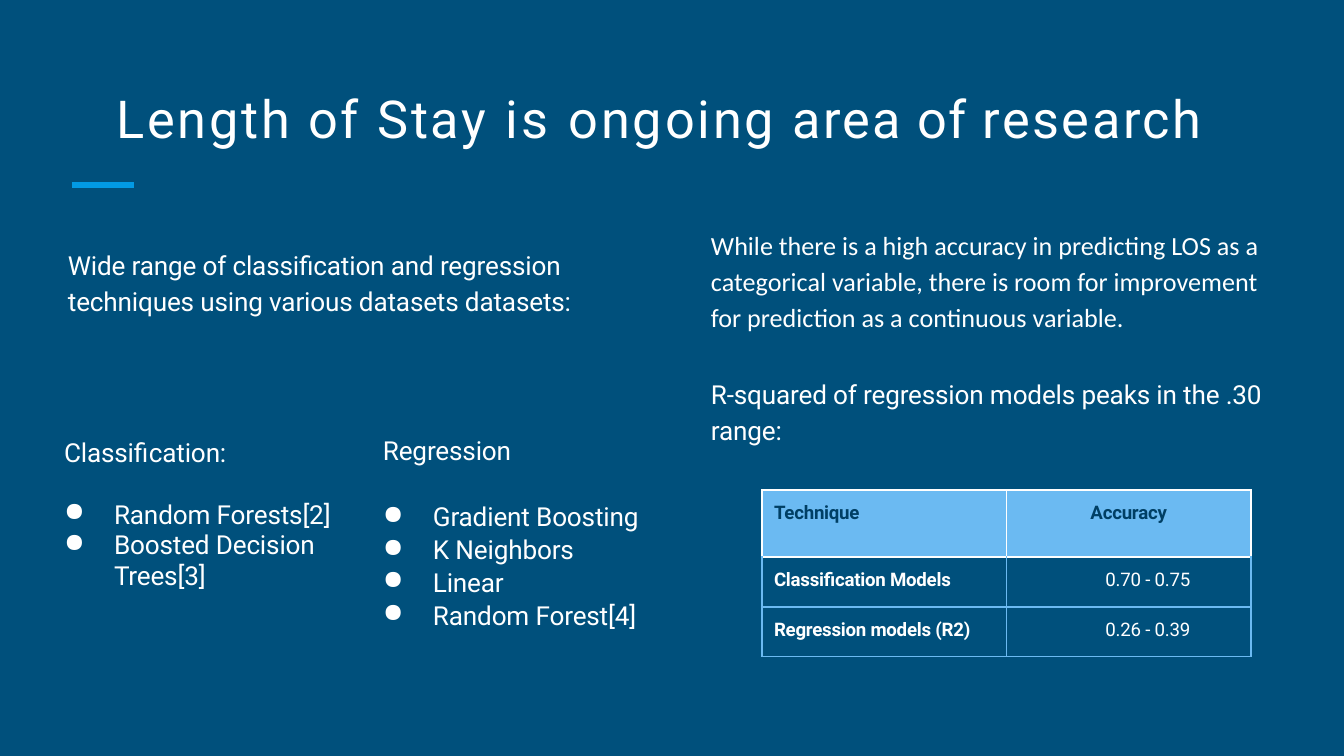
from pptx import Presentation
from pptx.dml.color import RGBColor
from pptx.enum.shapes import MSO_CONNECTOR
from pptx.enum.text import MSO_ANCHOR, MSO_AUTO_SIZE, PP_ALIGN
from pptx.oxml.ns import qn
from pptx.util import Pt
from lxml.etree import SubElement, Element

NAVY, WHITE, SKY, ACCENT, INK = "00507C", "FFFFFF", "6BBAF2", "029AE4", "003F64"
SLIDE_W, SLIDE_H = 1344, 756


def px(n):
    return round(n * 914400 / 134.4)


def rgb(color):
    return RGBColor.from_string(color)


def add_run(p, text, size=14, color=WHITE, font="Roboto", bold=False, spc=-0.1):
    r = p.add_run()
    r.text = text
    r.font.size, r.font.name, r.font.bold = Pt(size), font, bold
    r.font.color.rgb = rgb(color)
    r._r.get_or_add_rPr().set("spc", str(round(spc * 100)))


def set_indent(p, left, first=0, bullet=None):
    pPr = p._p.get_or_add_pPr()
    pPr.set("marL", str(px(left)))
    pPr.set("indent", str(px(first)))
    if bullet:
        SubElement(pPr, qn("a:buChar")).set("char", bullet)


def setup_frame(tf, top):
    tf.word_wrap = True
    tf.auto_size = MSO_AUTO_SIZE.NONE
    tf.vertical_anchor = MSO_ANCHOR.TOP
    tf.margin_left = tf.margin_right = tf.margin_bottom = 0
    tf.margin_top = px(top)


def add_title(slide, x, y, w, h, parts):
    sp = slide.shapes.title
    sp.left, sp.top, sp.width, sp.height = map(px, (x, y, w, h))
    setup_frame(sp.text_frame, 1)
    p = sp.text_frame.paragraphs[0]
    p.alignment, p.space_before = PP_ALIGN.CENTER, Pt(1)
    for text, spc in parts:
        add_run(p, text, size=28, spc=spc)


def add_rule(slide, x, y, w):
    line = slide.shapes.add_connector(MSO_CONNECTOR.STRAIGHT, px(x), px(y), px(x + w), px(y))
    line.line.color.rgb, line.line.width = rgb(ACCENT), Pt(3)
    SubElement(line._element.spPr, qn("a:effectLst"))


def add_text(slide, x, y, w, h, paragraphs):
    """Each paragraph is (text, font, letter spacing, space before)."""
    tf = slide.shapes.add_textbox(*map(px, (x, y, w, h))).text_frame
    setup_frame(tf, 1)
    for i, (text, font, spc, before) in enumerate(paragraphs):
        p = tf.add_paragraph() if i else tf.paragraphs[0]
        set_indent(p, 1)
        p.line_spacing, p.space_before = 1.16, Pt(before)
        add_run(p, text, font=font, spc=spc)


def add_list(slide, x, y, w, h, heading, items, top, pitch, before):
    """A heading, a gap of one line, then bulleted items."""
    tf = slide.shapes.add_textbox(*map(px, (x, y, w, h))).text_frame
    setup_frame(tf, top)
    for i, text in enumerate([heading, *items]):
        p = tf.add_paragraph() if i else tf.paragraphs[0]
        p.line_spacing = Pt(pitch)
        p.space_before = Pt(pitch + 2 * before if i == 1 else before)
        if i:
            set_indent(p, 51, -50, "●")
        else:
            set_indent(p, 1)
        add_run(p, text)


def set_borders(cell, colors):
    """Colours run left, right, top, bottom."""
    tcPr = cell._tc.get_or_add_tcPr()
    for i, (side, color) in enumerate(zip("LRTB", colors)):
        ln = Element(qn("a:ln" + side), w=str(Pt(0.75)))
        fill = SubElement(ln, qn("a:solidFill"))
        SubElement(fill, qn("a:srgbClr")).set("val", color)
        tcPr.insert(i, ln)


def add_accuracy_table(slide, x, y, w, heights, rows):
    frame = slide.shapes.add_table(len(rows), 2, px(x), px(y), px(w), px(sum(heights)))
    table = frame.table
    table.first_row = table.horz_banding = False
    for col in table.columns:
        col.width = px(w / 2)
    for i, (row, height) in enumerate(zip(rows, heights)):
        table.rows[i].height = px(height)
        header = i == 0
        for j, text in enumerate(row):
            cell = table.cell(i, j)
            cell.margin_left = cell.margin_right = cell.margin_bottom = 0
            cell.margin_top = px(12)
            cell.fill.solid()
            cell.fill.fore_color.rgb = rgb(SKY if header else NAVY)
            side = WHITE if header else SKY
            set_borders(cell, (side, side, WHITE if i < 2 else SKY, side))
            p = cell.text_frame.paragraphs[0]
            p.space_before = Pt(6.3)
            if header and j:
                p.alignment = PP_ALIGN.CENTER
            else:
                set_indent(p, 99 if j else 12)
            add_run(p, text, size=10, color=INK if header else WHITE, bold=header or j == 0)


prs = Presentation()
prs.slide_width, prs.slide_height = px(SLIDE_W), px(SLIDE_H)
slide = prs.slides.add_slide(prs.slide_layouts[5])
slide.background.fill.solid()
slide.background.fill.fore_color.rgb = rgb(NAVY)

# Heading
add_rule(slide, 72, 185, 62)
add_title(slide, 67, 85, 1184, 66, [
    ("Length of Stay ", 1.5), ("is ", 1.9), ("ongoing ", 1.5),
    ("area ", 1.1), ("of ", 0.7), ("research", 1.4)])

# Left: techniques
add_text(slide, 67, 243, 556, 74, [
    ("Wide range of classi\ufb01cation and regression techniques using various "
     "datasets datasets:", "Roboto", -0.1, 1)])
add_list(slide, 63, 433, 284, 160, "Classification:",
         ["Random Forests[2]", "Boosted Decision Trees[3]"], top=4, pitch=16.5, before=0)
add_list(slide, 382, 434, 347, 233, "Regression",
         ["Gradient Boosting", "K Neighbors", "Linear", "Random Forest[4]"],
         top=1, pitch=16.6, before=1)

# Right: findings
add_text(slide, 710, 223, 564, 226, [
    ("While there is a high accuracy in predicting LOS as a categorical variable, "
     "there is room for improvement for prediction as a continuous variable.", "Calibri", 0, 1),
    ("R-squared of regression models peaks in the .30 range:", "Roboto", -0.1, 21.5)])
add_accuracy_table(slide, 762, 490, 489, (67, 50, 50), [
    ("Technique", "Accuracy"),
    ("Classification Models", "0.70 - 0.75"),
    ("Regression models (R2)", "0.26 - 0.39")])

prs.save("out.pptx")
